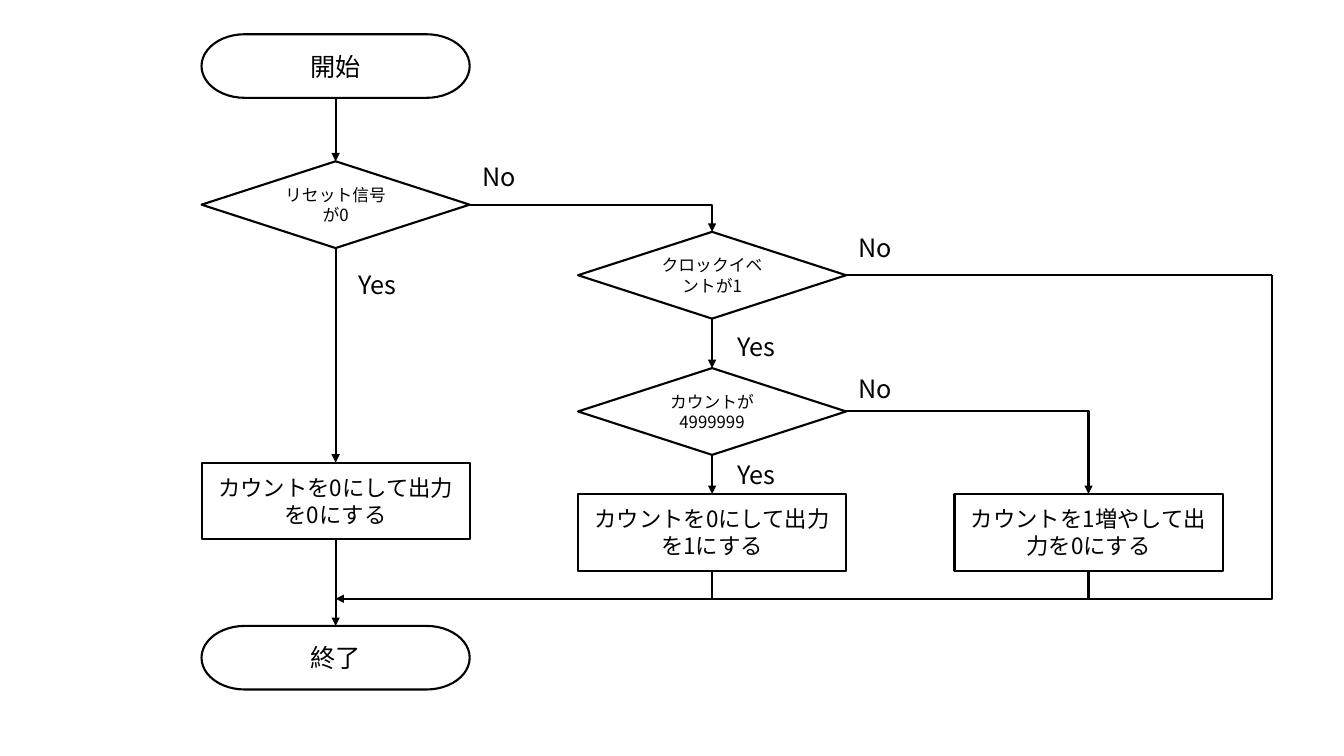
from lxml import etree
from pptx import Presentation
from pptx.dml.color import RGBColor
from pptx.enum.shapes import MSO_CONNECTOR, MSO_SHAPE
from pptx.enum.text import MSO_ANCHOR, MSO_AUTO_SIZE, PP_ALIGN
from pptx.oxml.ns import qn
from pptx.util import Pt

BLACK = RGBColor(0x00, 0x00, 0x00)
WHITE = RGBColor(0xFF, 0xFF, 0xFF)
FONT_NAME = "Noto Sans CJK JP"

TERMINATOR = MSO_SHAPE.FLOWCHART_TERMINATOR
DECISION = MSO_SHAPE.FLOWCHART_DECISION
PROCESS = MSO_SHAPE.FLOWCHART_PROCESS
STRAIGHT, ELBOW = MSO_CONNECTOR.STRAIGHT, MSO_CONNECTOR.ELBOW
CENTER, MIDDLE = PP_ALIGN.CENTER, MSO_ANCHOR.MIDDLE
FIT_SHAPE = MSO_AUTO_SIZE.SHAPE_TO_FIT_TEXT
TOP, BOTTOM, RIGHT = 0, 2, 3  # connection sites

COLUMNS = [239.75 + 268.9 * column for column in range(3)]
NODE_WIDTH = 191.5
NODE_STYLES = {TERMINATOR: (45.4, 18), DECISION: (62, 12), PROCESS: (54.8, 16)}
MERGE_Y = 427.7
BYPASS_X = 908.6


def apply_format(target, values):
    for name, value in values.items():
        setattr(target, name, value)


class Flowchart:
    def __init__(self, slide):
        self.slide = slide
        self.line_width = Pt(1.5)

    def set_text(self, text_frame, text, size, alignment=None):
        text_frame.text = text
        for paragraph in text_frame.paragraphs:
            paragraph.alignment = alignment
            for run in paragraph.runs:
                apply_format(run.font, {"name": FONT_NAME, "size": Pt(size)})
                run.font.color.rgb = BLACK
                east_asian = etree.SubElement(run.font._element, qn("a:ea"))
                east_asian.set("typeface", FONT_NAME)

    def node(self, kind, column, top, text):
        height, size = NODE_STYLES[kind]
        shape = self.slide.shapes.add_shape(
            kind, Pt(COLUMNS[column] - NODE_WIDTH / 2), Pt(top), Pt(NODE_WIDTH), Pt(height))
        shape.shadow.inherit = False
        shape.fill.solid()
        shape.fill.fore_color.rgb = WHITE
        shape.line.color.rgb = BLACK
        shape.line.width = self.line_width
        apply_format(shape.text_frame, {"word_wrap": True, "vertical_anchor": MIDDLE})
        self.set_text(shape.text_frame, text, size, CENTER)
        return shape

    def label(self, text, left, top):
        width = 45.4 if text == "Yes" else 38.2
        box = self.slide.shapes.add_textbox(Pt(left), Pt(top), Pt(width), Pt(29))
        apply_format(box.text_frame, {"word_wrap": False, "auto_size": FIT_SHAPE})
        self.set_text(box.text_frame, text, 18)

    def connector(self, kind, start=(0, 0), end=(0, 0), arrow=False):
        points = [Pt(value) for value in (*start, *end)]
        connector = self.slide.shapes.add_connector(kind, *points)
        connector.line.color.rgb = BLACK
        connector.line.width = self.line_width
        properties = connector._element.spPr
        if kind == ELBOW:
            properties.find(qn("a:prstGeom")).set("prst", "bentConnector2")
        if arrow:
            tail = etree.SubElement(properties.find(qn("a:ln")), qn("a:tailEnd"))
            tail.set("type", "triangle")
        etree.SubElement(properties, qn("a:effectLst"))
        return connector

    def link(self, source, target, kind=STRAIGHT, site=BOTTOM):
        connector = self.connector(kind, arrow=True)
        connector.begin_connect(source, site)
        connector.end_connect(target, TOP)

    def merge(self, start, end_x, arrow=False):
        """Run down from start to the merge level, then left to end_x."""
        start_x, start_y = start
        across, down = start_x - end_x, MERGE_Y - start_y
        center_x, center_y = (start_x + end_x) / 2, (start_y + MERGE_Y) / 2
        # A quarter turn swaps the sides of the frame about its centre.
        connector = self.connector(
            ELBOW, (center_x - down / 2, center_y - across / 2),
            (center_x + down / 2, center_y + across / 2), arrow)
        connector._element.spPr.find(qn("a:xfrm")).set("rot", str(90 * 60000))


def main():
    presentation = Presentation()
    apply_format(presentation, {"slide_width": Pt(960), "slide_height": Pt(540)})
    slide = presentation.slides.add_slide(presentation.slide_layouts[6])
    chart = Flowchart(slide)

    start = chart.node(TERMINATOR, 0, 24.5, "開始")
    finish = chart.node(TERMINATOR, 0, 447.1, "終了")
    reset = chart.node(DECISION, 0, 115.2, "リセット信号が0")
    clock = chart.node(DECISION, 1, 165.6, "クロックイベントが1")
    count = chart.node(DECISION, 1, 262.9, "カウントが\n4999999")
    clear = chart.node(PROCESS, 0, 330.4, "カウントを0にして出力を0にする")
    output = chart.node(PROCESS, 1, 352.8, "カウントを0にして出力を1にする")
    increment = chart.node(PROCESS, 2, 352.8, "カウントを1増やして出力を0にする")

    for source, target in [(start, reset), (reset, clear), (clear, finish),
                           (clock, count), (count, output)]:
        chart.link(source, target)
    for source, target in [(reset, clock), (count, increment)]:
        chart.link(source, target, ELBOW, RIGHT)

    process_bottom = 352.8 + NODE_STYLES[PROCESS][0]
    clock_middle = 165.6 + NODE_STYLES[DECISION][0] / 2
    chart.merge((COLUMNS[1], process_bottom), COLUMNS[0], arrow=True)
    chart.merge((COLUMNS[2], process_bottom), COLUMNS[1])
    chart.connector(STRAIGHT, (COLUMNS[1] + NODE_WIDTH / 2, clock_middle),
                    (BYPASS_X, clock_middle))
    chart.merge((BYPASS_X, clock_middle), COLUMNS[2])

    for text, left, top in [("Yes", 249.1, 188.6), ("Yes", 519.8, 324.7),
                            ("Yes", 519.8, 233.3), ("No", 337.7, 111.6),
                            ("No", 606.2, 262.8), ("No", 606.2, 162.7)]:
        chart.label(text, left, top)

    presentation.save("out.pptx")


if __name__ == "__main__":
    main()
